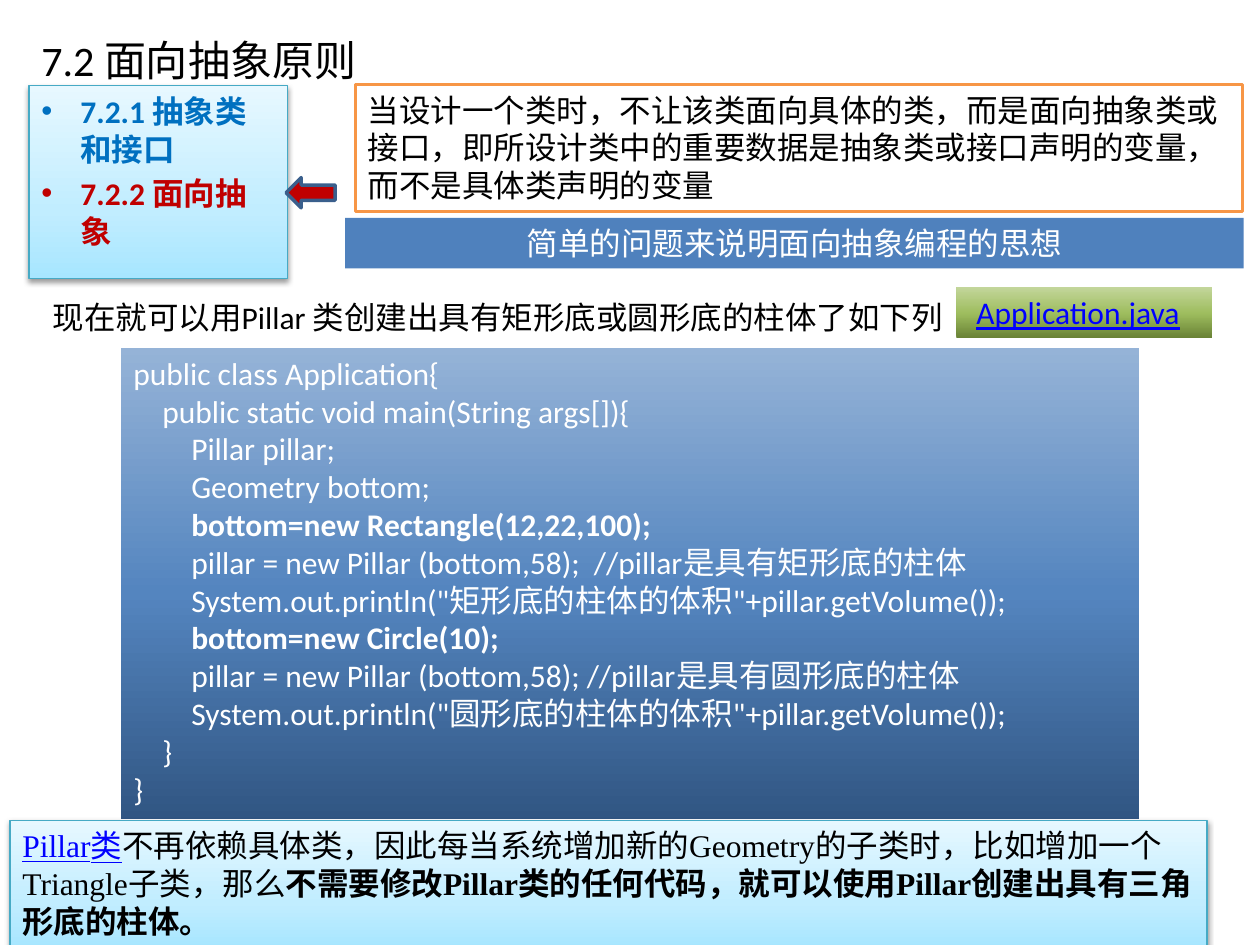
from copy import deepcopy

from lxml.etree import SubElement
from pptx import Presentation
from pptx.dml.color import RGBColor
from pptx.enum.shapes import MSO_SHAPE as Shape
from pptx.enum.text import MSO_ANCHOR as Anchor, PP_ALIGN as Align
from pptx.oxml.ns import qn
from pptx.util import Inches, Pt

BLACK = RGBColor(0x00, 0x00, 0x00)
WHITE = RGBColor(0xFF, 0xFF, 0xFF)
RED = RGBColor(0xC0, 0x00, 0x00)
TOPIC_BLUE = RGBColor(0x00, 0x70, 0xC0)
LINK_BLUE = RGBColor(0x00, 0x00, 0xFF)
BANNER_BLUE = RGBColor(0x4F, 0x81, 0xBD)
ARROW_EDGE = RGBColor(0x3A, 0x5F, 0x8C)
ORANGE = RGBColor(0xF7, 0x96, 0x46)
AQUA = RGBColor(0x46, 0xAA, 0xC5)
# Gradients run from bottom to top: (position, colour)
AQUA_FADE = [(0, RGBColor(0xA7, 0xE6, 0xFF)), (0.35, RGBColor(0xC1, 0xED, 0xFF)),
             (1, RGBColor(0xE7, 0xF8, 0xFF))]
GREEN_FADE = [(0, RGBColor(0x6A, 0x83, 0x36)), (0.48, RGBColor(0x9E, 0xBD, 0x5E)),
              (1, RGBColor(0xC3, 0xD6, 0x9B))]
BLUE_FADE = [(0, RGBColor(0x31, 0x56, 0x83)), (0.48, RGBColor(0x54, 0x85, 0xBF)),
             (1, RGBColor(0x95, 0xB3, 0xD7))]

deck = Presentation()
deck.slide_width, deck.slide_height = Inches(10), Inches(7.5)
page = deck.slides.add_slide(deck.slide_layouts[6])


def add_box(left, top, width, height, fill=None, line=None, line_width=0.75,
            kind=Shape.RECTANGLE, shadow=False):
    """Add a shape with a solid, gradient or no fill, ready for left-aligned text."""
    box = page.shapes.add_shape(kind, Inches(left), Inches(top), Inches(width), Inches(height))
    box.shadow.inherit = False
    if fill is None:
        box.fill.background()
    elif isinstance(fill, RGBColor):
        box.fill.solid()
        box.fill.fore_color.rgb = fill
    else:
        box.fill.gradient()
        box.fill.gradient_angle = 90
        stop_list = box._element.spPr.find(qn("a:gradFill")).find(qn("a:gsLst"))
        stop_list.append(deepcopy(stop_list[0]))
        for stop, (position, color) in zip(box.fill.gradient_stops, fill):
            stop.position = position
            stop.color.rgb = color
    if line is None:
        box.line.fill.background()
    else:
        box.line.color.rgb = line
        box.line.width = Pt(line_width)
    if shadow:
        effects = box._element.spPr.find(qn("a:effectLst"))
        outer = SubElement(effects, qn("a:outerShdw"), blurRad=str(Pt(3.1)),
                           dist=str(Pt(1.6)), dir="5400000", rotWithShape="0")
        shade = SubElement(outer, qn("a:srgbClr"), val="000000")
        SubElement(shade, qn("a:alpha"), val="38000")
    box.text_frame.word_wrap = True
    box.text_frame.vertical_anchor = Anchor.TOP
    box.text_frame.paragraphs[0].alignment = Align.LEFT
    return box


def add_span(para, text, color=BLACK, size=18, bold=False, underline=False, font="Calibri"):
    span = para.add_run()
    span.text = text
    span.font.name, span.font.size = font, Pt(size)
    span.font.bold, span.font.underline = bold, underline
    span.font.color.rgb = color


# Title
title = add_box(0.23, 0.06, 2.88, 0.66)
title.text_frame.vertical_anchor = Anchor.BOTTOM
add_span(title.text_frame.paragraphs[0], "7.2 面向抽象原则", size=24)

# Section list, with an arrow to the current section
sections = add_box(0.23, 0.68, 2.05, 1.53, AQUA_FADE, AQUA, shadow=True)
for index, (text, color) in enumerate([("7.2.1 抽象类和接口", TOPIC_BLUE), ("7.2.2 面向抽象", RED)]):
    frame = sections.text_frame
    para = frame.add_paragraph() if index else frame.paragraphs[0]
    para.alignment = Align.LEFT
    para.space_before = Pt(3.6)
    props = para._p.get_or_add_pPr()
    props.set("marL", str(Inches(0.31)))
    props.set("indent", str(Inches(-0.31)))
    SubElement(props, qn("a:buFont"), typeface="Arial")
    SubElement(props, qn("a:buChar"), char="•")
    add_span(para, text, color, bold=True)

# Principle
principle = add_box(2.82, 0.67, 7.04, 1.01, WHITE, ORANGE, 2)
add_span(principle.text_frame.paragraphs[0],
         "当设计一个类时，不让该类面向具体的类，而是面向抽象类或接口，"
         "即所设计类中的重要数据是抽象类或接口声明的变量，而不是具体类声明的变量")

# Banner
banner = add_box(2.74, 1.73, 7.13, 0.4, BANNER_BLUE)
banner.text_frame.paragraphs[0].alignment = Align.CENTER
add_span(banner.text_frame.paragraphs[0], "简单的问题来说明面向抽象编程的思想", WHITE)

add_box(2.27, 1.41, 0.39, 0.24, RED, ARROW_EDGE, 2, Shape.LEFT_ARROW)

# File label
file_label = add_box(7.59, 2.28, 2.03, 0.4, GREEN_FADE)
file_label.text_frame.margin_left = Inches(0.16)
add_span(file_label.text_frame.paragraphs[0], "Application.java", LINK_BLUE, underline=True)

# Code listing: (indent level, text, bold)
CODE = [
    (0, "public class Application{", False),
    (1, "public static void main(String args[]){", False),
    (2, "Pillar pillar;", False),
    (2, "Geometry bottom;", False),
    (2, "bottom=new Rectangle(12,22,100);", True),
    (2, "pillar = new Pillar (bottom,58);  //pillar是具有矩形底的柱体", False),
    (2, 'System.out.println("矩形底的柱体的体积"+pillar.getVolume());', False),
    (2, "bottom=new Circle(10);", True),
    (2, "pillar = new Pillar (bottom,58); //pillar是具有圆形底的柱体", False),
    (2, 'System.out.println("圆形底的柱体的体积"+pillar.getVolume());', False),
    (1, "}", False),
    (0, "}", False),
]
code_box = add_box(0.96, 2.76, 8.08, 3.74, BLUE_FADE)
for index, (level, text, bold) in enumerate(CODE):
    frame = code_box.text_frame
    para = frame.add_paragraph() if index else frame.paragraphs[0]
    para.alignment = Align.LEFT
    para._p.get_or_add_pPr().set("marL", str(Inches(0.23 * level)))
    add_span(para, text, WHITE, bold=bold)

# Lead-in to the code
lead_in = add_box(0.32, 2.32, 7.28, 0.4)
add_span(lead_in.text_frame.paragraphs[0],
         "现在就可以用Pillar 类创建出具有矩形底或圆形底的柱体了如下列")

# Conclusion
conclusion = add_box(0.08, 6.51, 9.5, 1.01, AQUA_FADE, AQUA, shadow=True)
para = conclusion.text_frame.paragraphs[0]
SERIF = "Times New Roman"
add_span(para, "Pillar类", LINK_BLUE, underline=True, font=SERIF)
add_span(para, "不再依赖具体类，因此每当系统增加新的Geometry的子类时，"
               "比如增加一个Triangle子类，那么", font=SERIF)
add_span(para, "不需要修改Pillar类的任何代码，就可以使用Pillar创建出具有三角形底的柱体。",
         bold=True, font=SERIF)

deck.save("out.pptx")
